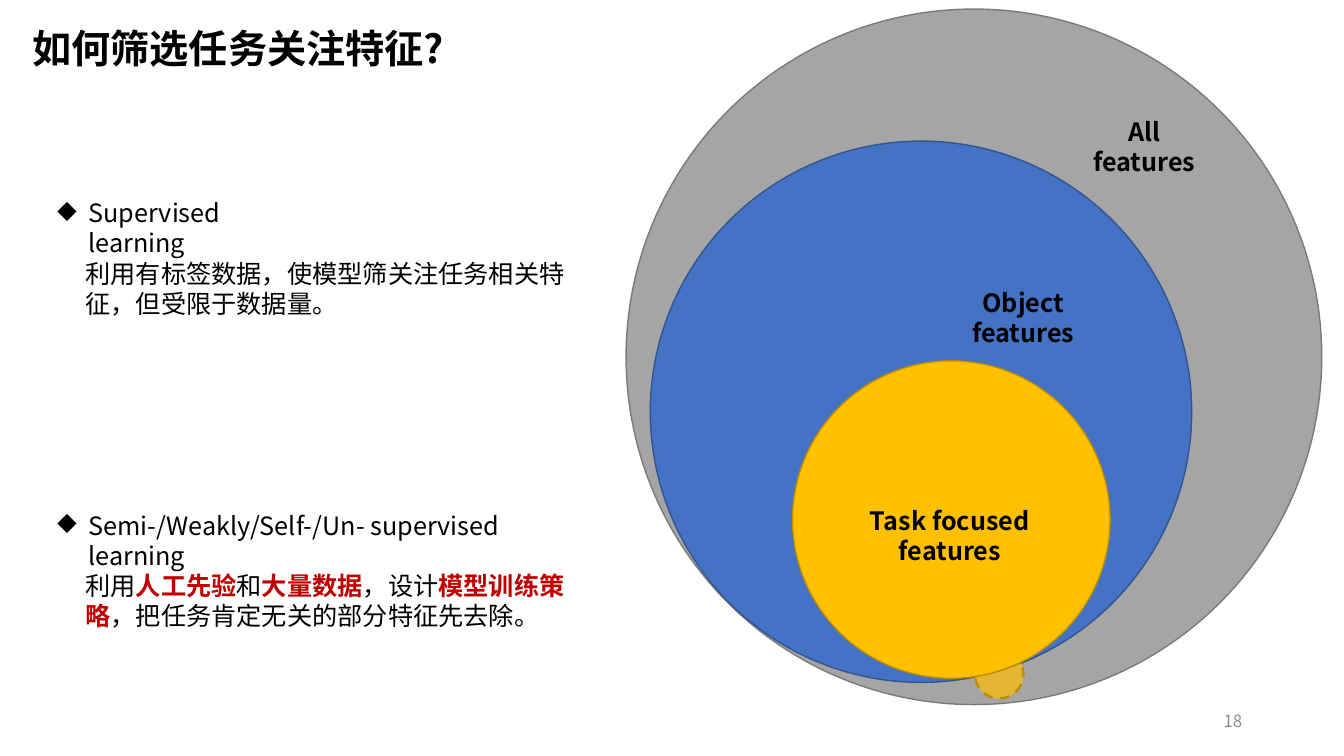
import pptx
import pptx.util
import pptx.dml.color
import pptx.enum.dml
import pptx.enum.shapes
import pptx.enum.text
import pptx.oxml
import pptx.oxml.ns
from pptx.util import Inches

FONT = "Noto Sans CJK SC"
ALIGN = pptx.enum.text.PP_ALIGN
ANCHOR = pptx.enum.text.MSO_ANCHOR


def colour(value):
    return pptx.dml.color.RGBColor.from_string(value)


def write(box, place, runs, size=18, bold=False, ink="000000", align=ALIGN.LEFT,
          anchor=ANCHOR.TOP, wrap=True, bullet=None):
    box.left, box.top, box.width, box.height = [Inches(length) for length in place]
    frame = box.text_frame
    frame.word_wrap = wrap
    frame.vertical_anchor = anchor
    paragraph = frame.paragraphs[0]
    paragraph.alignment = align
    if bullet:
        properties = paragraph._p.get_or_add_pPr()
        properties.set("marL", str(Inches(0.31)))
        properties.set("indent", str(-Inches(0.31)))
        mark = pptx.oxml.ns.qn("a:buChar")
        properties.append(properties.makeelement(mark, {"char": bullet}))
    font = paragraph.font
    font.name = FONT
    font.size = pptx.util.Pt(size)
    font.bold = bold
    font.color.rgb = colour(ink)
    east_asian = pptx.oxml.ns.qn("a:ea")
    font._element.append(font._element.makeelement(east_asian, {"typeface": FONT}))
    for text, stressed in runs:
        run = paragraph.add_run()
        run.text = text
        if stressed:
            run.font.bold = True
            run.font.color.rgb = colour("C00000")


deck = pptx.Presentation()
deck.slide_width = Inches(13.33)
deck.slide_height = Inches(7.5)
slide = deck.slides.add_slide(deck.slide_layouts[5])
shapes = slide.shapes

write(shapes.title, (0.22, 0.19, 4.3, 0.57), [("如何筛选任务关注特征?", False)],
      size=28, bold=True, wrap=False)

page_number = shapes.add_textbox(0, 0, 0, 0)
write(page_number, (9.42, 6.95, 3, 0.4), [("18", False)], size=12, ink="8C8C8C",
      align=ALIGN.RIGHT, anchor=ANCHOR.MIDDLE)

methods = [
    (1.91, 2.64, "Supervised learning",
     [("利用有标签数据，使模型筛关注任务相关特征，但受限于数据量。", False)]),
    (5.01, 5.35, "Semi-/Weakly/Self-/Un- supervised learning",
     [("利用", False), ("人工先验", True), ("和", False), ("大量数据", True),
      ("，设计", False), ("模型训练策略", True),
      ("，把任务肯定无关的部分特征先去除。", False)]),
]
for top, width, method, explanation in methods:
    write(shapes.add_textbox(0, 0, 0, 0), (0.47, top, width, 0.4),
          [(method, False)], bullet="◆")
    write(shapes.add_textbox(0, 0, 0, 0), (0.75, top + 0.6, 4.95, 0.71), explanation)

feature_sets = [
    (6.21, 0.09, 6.9, "A5A5A5", "7A7A7A", "All features", (10.6, 1.1, 1.5, 0.4)),
    (6.45, 1.4, 5.37, "4472C4", "325491", "Object features", (9.17, 2.8, 1.96, 0.4)),
    (9.67, 6.45, 0.48, "FFC000", "BD8E00", None, None),
    (7.86, 3.58, 3.15, "FFC000", "BD8E00", "Task focused features",
     (8.08, 4.96, 2.68, 0.4)),
]
for left, top, diameter, fill, outline, label, label_place in feature_sets:
    circle = shapes.add_shape(pptx.enum.shapes.MSO_SHAPE.OVAL, Inches(left), Inches(top),
                              Inches(diameter), Inches(diameter))
    circle.shadow.inherit = False
    circle.fill.solid()
    circle.fill.fore_color.rgb = colour(fill)
    circle.line.color.rgb = colour(outline)
    circle.line.width = pptx.util.Pt(1)
    if label:
        write(shapes.add_textbox(0, 0, 0, 0), label_place, [(label, False)],
              bold=True, align=ALIGN.CENTER)
    else:
        circle.line.width = pptx.util.Pt(1.75)
        circle.line.dash_style = pptx.enum.dml.MSO_LINE.DASH
        tint = circle._element.spPr.find(
            pptx.oxml.ns.qn("a:solidFill")).find(pptx.oxml.ns.qn("a:srgbClr"))
        tint.append(tint.makeelement(pptx.oxml.ns.qn("a:alpha"), {"val": "69000"}))

deck.save("out.pptx")
